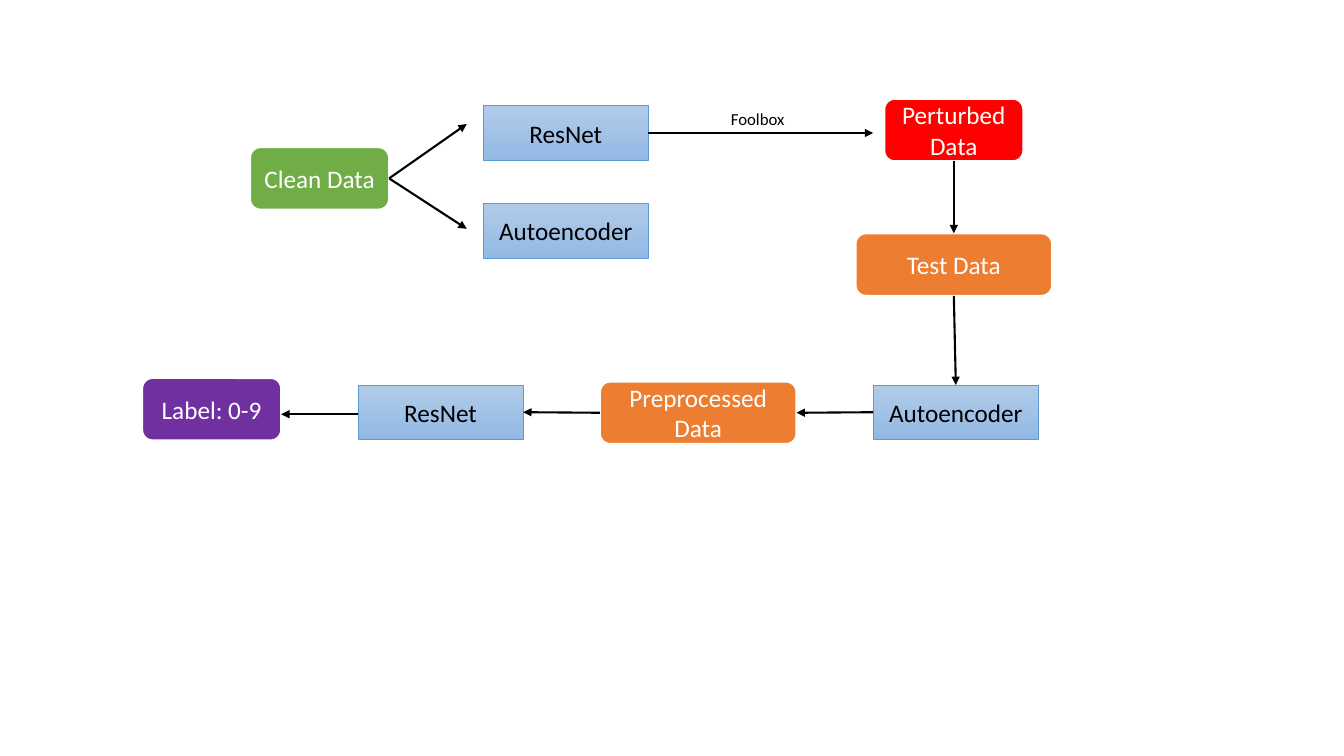
import pptx
import pptx.util
import pptx.dml.color
import pptx.enum.shapes
import pptx.enum.text
import pptx.oxml
import pptx.oxml.ns

COLOURS = {
    "clean": "70AD47",
    "perturbed": "FF0000",
    "data": "ED7D31",
    "label": "7030A0",
    "model_top": "B1CBE9",
    "model_bottom": "93B9E4",
    "model_line": "5B9BD5",
    "white": "FFFFFF",
    "black": "000000",
}
SMALL = (10.35, 8.27)
WIDE = (14.63, 8.27)
MODEL = (12.3, 7.2)


class Diagram:
    """Draws flowchart elements on a slide divided into 100 columns and 100 rows."""

    font = "Calibri"

    def __init__(self, presentation):
        self.column = presentation.slide_width / 100
        self.row = presentation.slide_height / 100
        self.slide = presentation.slides.add_slide(presentation.slide_layouts[6])

    def colour(self, name):
        return pptx.dml.color.RGBColor.from_string(COLOURS[name])

    def place(self, x, y):
        return round(x * self.column), round(y * self.row)

    def set_text(self, shape, text, size, colour):
        shape.text_frame.text = text
        shape.text_frame.word_wrap = True
        paragraph = shape.text_frame.paragraphs[0]
        font = paragraph.runs[0].font
        font.name = self.font
        font.size = pptx.util.Pt(size)
        font.color.rgb = self.colour(colour)
        return paragraph

    def box(self, kind, text, centre, size, text_colour):
        (x, y), (width, height) = centre, size
        left, top = x - width / 2, y - height / 2
        shape = self.slide.shapes.add_shape(
            kind, *self.place(left, top), *self.place(width, height))
        shape.shadow.inherit = False
        shape.text_frame.vertical_anchor = pptx.enum.text.MSO_ANCHOR.MIDDLE
        paragraph = self.set_text(shape, text, 18, text_colour)
        paragraph.alignment = pptx.enum.text.PP_ALIGN.CENTER
        edges = {"left": (left, y), "right": (left + width, y),
                 "top": (x, top), "bottom": (x, top + height)}
        return shape, edges

    def data(self, text, centre, size, fill):
        kind = pptx.enum.shapes.MSO_SHAPE.ROUNDED_RECTANGLE
        shape, edges = self.box(kind, text, centre, size, "white")
        shape.fill.solid()
        shape.fill.fore_color.rgb = self.colour(fill)
        shape.line.color.rgb = self.colour("white")
        shape.line.width = pptx.util.Pt(1.5)
        return edges

    def model(self, text, centre):
        kind = pptx.enum.shapes.MSO_SHAPE.RECTANGLE
        shape, edges = self.box(kind, text, centre, MODEL, "black")
        shape.fill.gradient()
        shape.fill.gradient_angle = 270
        for stop, name in zip(shape.fill.gradient_stops, ("model_top", "model_bottom")):
            stop.color.rgb = self.colour(name)
        shape.line.color.rgb = self.colour("model_line")
        shape.line.width = pptx.util.Pt(0.5)
        return edges

    def arrow(self, begin, end):
        connector = self.slide.shapes.add_connector(
            pptx.enum.shapes.MSO_CONNECTOR.STRAIGHT, *self.place(*begin), *self.place(*end))
        connector.line.color.rgb = self.colour("black")
        connector.line.width = pptx.util.Pt(1.5)
        properties = connector._element.spPr
        head = pptx.oxml.parse_xml(
            f'<a:tailEnd {pptx.oxml.ns.nsdecls("a")} type="triangle"/>')
        properties.find(pptx.oxml.ns.qn("a:ln")).append(head)
        properties.append(pptx.oxml.parse_xml(
            f'<a:effectLst {pptx.oxml.ns.nsdecls("a")}/>'))

    def caption(self, text, corner, size):
        shape = self.slide.shapes.add_textbox(*self.place(*corner), *self.place(*size))
        self.set_text(shape, text, 12, "black")


def main():
    presentation = pptx.Presentation()
    presentation.slide_width = pptx.util.Inches(13.33)
    presentation.slide_height = pptx.util.Inches(7.5)
    diagram = Diagram(presentation)

    clean = diagram.data("Clean Data", (23.78, 23.6), SMALL, "clean")
    trained_resnet = diagram.model("ResNet", (42.1, 17.6))
    diagram.model("Autoencoder", (42.1, 30.53))
    perturbed = diagram.data("Perturbed Data", (70.97, 17.2), SMALL, "perturbed")
    test = diagram.data("Test Data", (70.97, 35), WIDE, "data")
    autoencoder = diagram.model("Autoencoder", (71.12, 54.53))
    preprocessed = diagram.data("Preprocessed Data", (51.95, 54.6), WIDE, "data")
    resnet = diagram.model("ResNet", (32.78, 54.53))
    label = diagram.data("Label: 0-9", (15.75, 54.13), SMALL, "label")

    for row in (16.4, 30.27):
        diagram.arrow(clean["right"], (34.73, row))
    diagram.arrow(trained_resnet["right"], (64.97, 17.6))
    diagram.caption("Foolbox", (53.64, 13.73), (6.38, 4))
    diagram.arrow(perturbed["bottom"], test["top"])
    diagram.arrow(test["bottom"], autoencoder["top"])
    diagram.arrow(autoencoder["left"], preprocessed["right"])
    diagram.arrow(preprocessed["left"], resnet["right"])
    diagram.arrow((resnet["left"][0], 54.8), (label["right"][0], 54.8))

    presentation.save("out.pptx")


if __name__ == "__main__":
    main()
